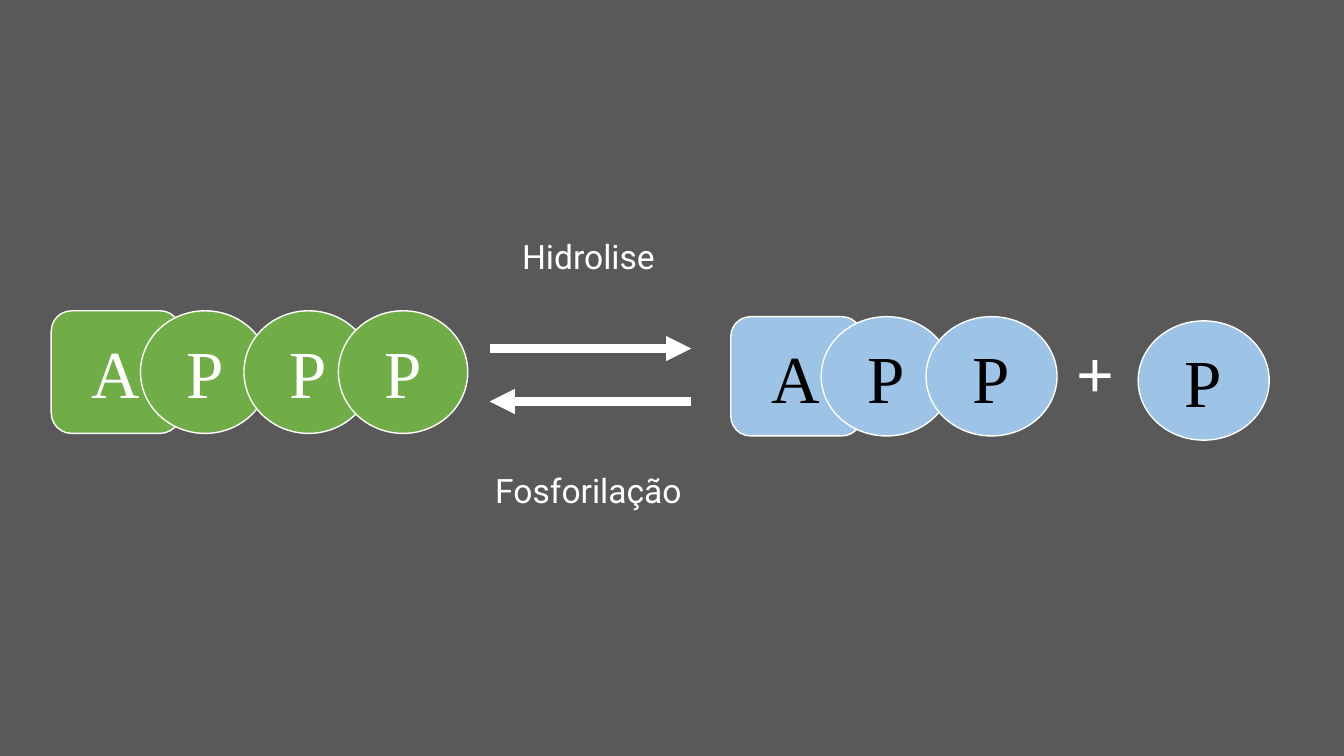
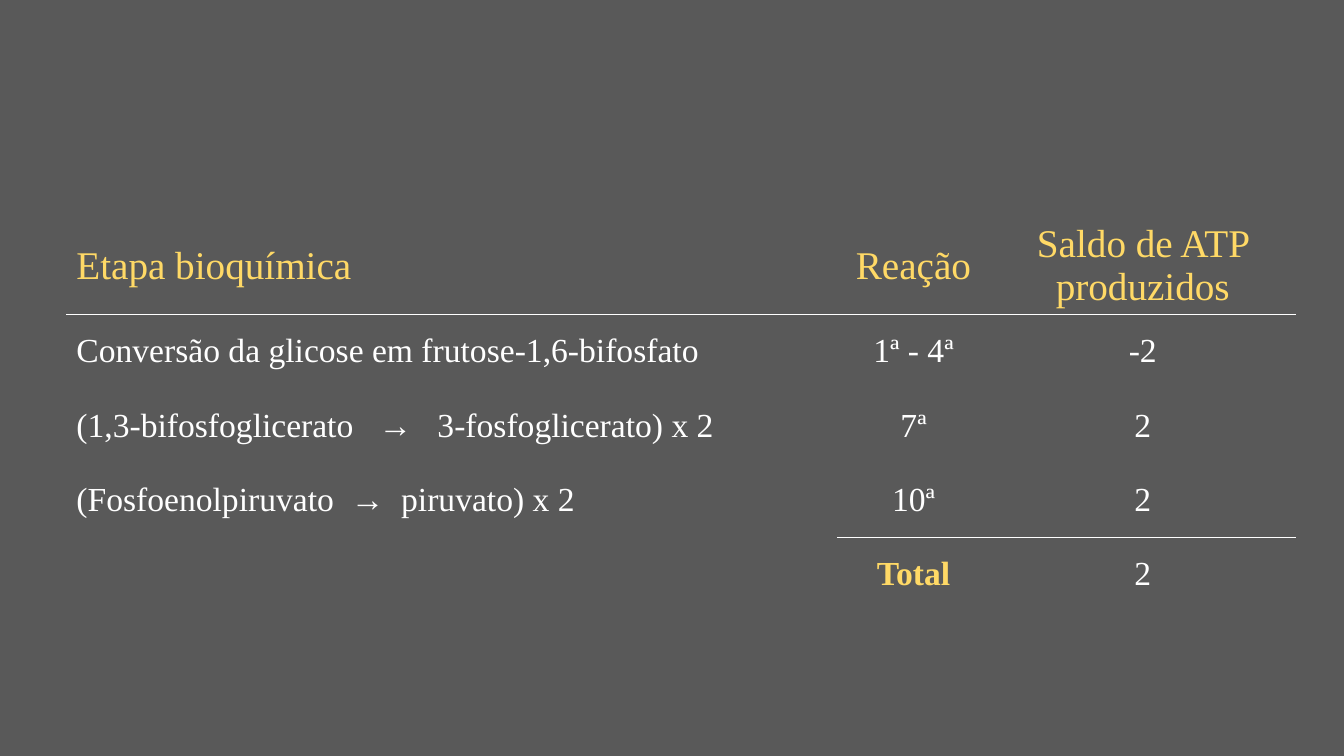
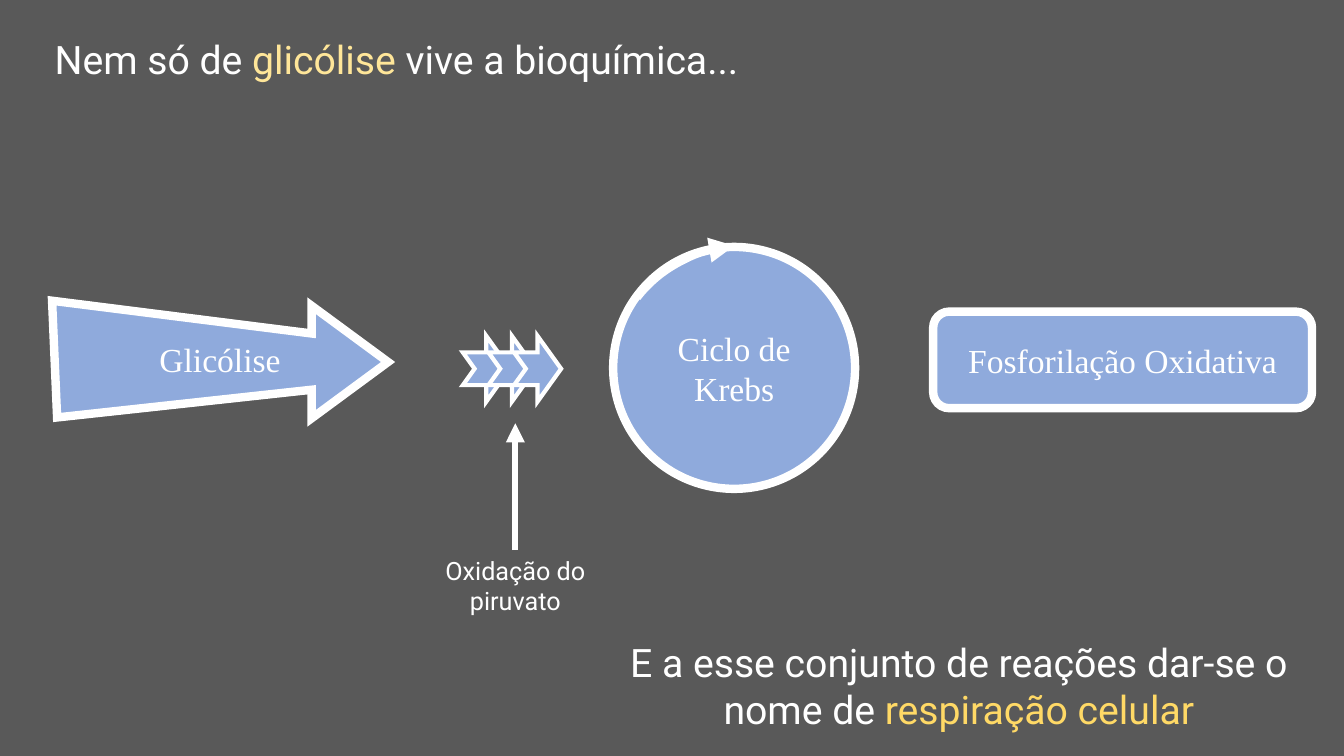
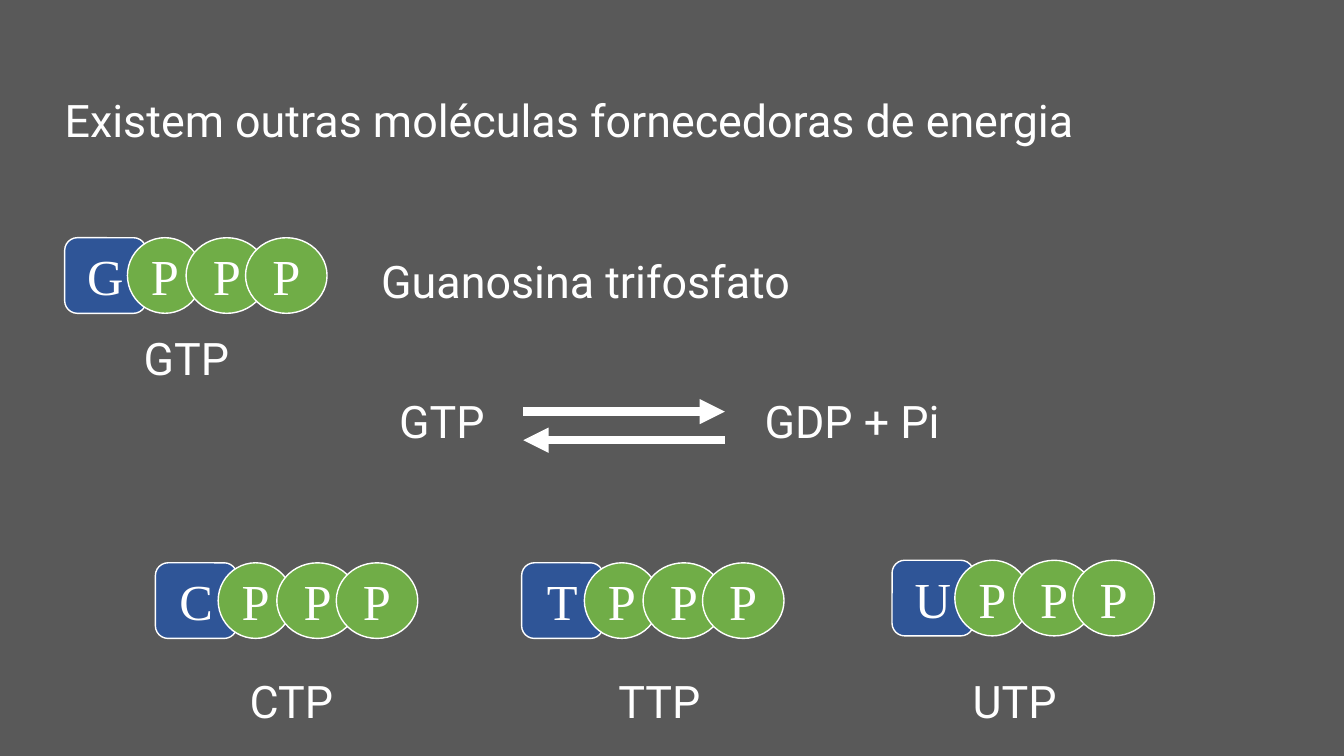
from lxml import etree
from pptx import Presentation, util as u
from pptx.dml.color import RGBColor
from pptx.enum import shapes, text
from pptx.oxml import ns

CELL = u.Pt(6)
COLS, ROWS = 160, 90
GRAY, WHITE, BLACK = "595959", "FFFFFF", "000000"
GOLD, CREAM = "FFD966", "FFE699"
GREEN, SKY, BLUE, NAVY = "70AD47", "9DC3E6", "8FAADC", "2F5597"
SANS, SERIF = "Roboto", "Times New Roman"
KIND = shapes.MSO_SHAPE
ALIGN = text.PP_ALIGN
FIT = text.MSO_AUTO_SIZE.SHAPE_TO_FIT_TEXT
BARE = "{2D5ABB26-0587-4C30-8999-92F81FD0307C}"
LINKS = (0, 0.69, 1.49, 2.22)


def grid(*cells):
    """Turn grid cells into slide lengths."""
    return [u.Emu(round(n * CELL)) for n in cells]


def tint(hue):
    """Make a colour from a hex string."""
    return RGBColor.from_string(hue)


def adorn(spot, tag, **attrs):
    """Add a DrawingML child element."""
    return etree.SubElement(spot, ns.qn(tag), attrs)


def write(para, runs, align=ALIGN.CENTER, hue=WHITE, **style):
    """Fill a paragraph with runs of text, colour and spacing."""
    para.alignment = align
    for part in [(runs,)] if isinstance(runs, str) else runs:
        words, shade, gap = (*part, None, None)[:3]
        run = para.add_run()
        run.text = words
        for key, value in style.items():
            setattr(run.font, key, value)
        run.font.color.rgb = tint(shade or hue)
        if gap:
            run.font._element.set("spc", str(gap * 100))


def stroke(item, width, arrow=False):
    """Give a shape or connector its white line."""
    item.line.color.rgb = tint(WHITE)
    item.line.width = u.Pt(width)
    edge = item.line._get_or_add_ln()
    adorn(edge, "a:miter", lim="800000")
    if arrow:
        adorn(edge, "a:tailEnd", type="triangle")


def dress(item, paint, width, words="", **style):
    """Set the fill, line and text of a shape."""
    item.shadow.inherit = False
    item.fill.solid()
    item.fill.fore_color.rgb = tint(paint)
    stroke(item, width)
    if words:
        write(item.text_frame.paragraphs[0], words, name=SERIF, **style)


def block(tree, kind, place, *look, **style):
    """Draw a filled preset shape."""
    dress(tree.add_shape(kind, *grid(*place)), *look, **style)


def fill(item, runs, size, name=SANS, **style):
    """Write into a frame that wraps and grows."""
    frame = item.text_frame
    looks = {"word_wrap": True, "auto_size": FIT, "vertical_anchor": text.MSO_ANCHOR.TOP}
    for key, value in looks.items():
        setattr(frame, key, value)
    write(frame.paragraphs[0], runs, size=u.Pt(size), name=name, **style)
    return item


def label(tree, place, runs, size, **style):
    """Add a text box."""
    return fill(tree.add_textbox(*grid(*place)), runs, size, **style)


def head(slide, place, runs, size):
    """Place and write the slide title."""
    title = slide.shapes.title
    for key, value in zip(("left", "top", "width", "height"), grid(*place)):
        setattr(title, key, value)
    fill(title, runs, size, align=ALIGN.LEFT)


def arrow(tree, start, end, width=6, base=None):
    """Draw a straight arrow, joined to the top of its base if given."""
    line = tree.add_connector(shapes.MSO_CONNECTOR.STRAIGHT, *grid(*start, *end))
    stroke(line, width, True)
    adorn(line._element.spPr, "a:effectLst")
    if base is not None:
        line.begin_connect(base, 0)


def swap(tree, left, *rows):
    """Draw a pair of opposed arrows."""
    ends = (left, left + 24)
    for row, (start, end) in zip(rows, (ends, ends[::-1])):
        arrow(tree, (start, row), (end, row))


def chain(tree, letters, left, top, wide, tall, hues, size, slim=1, **style):
    """Draw a grouped base with its phosphates."""
    group = tree.add_group_shape().shapes
    for i, (mark, link) in enumerate(zip(letters, LINKS)):
        part = slim if i == 1 else 1
        place = (left + (link + 1 - part) * wide, top, part * wide, tall)
        kind = KIND.OVAL if i else KIND.ROUNDED_RECTANGLE
        block(group, kind, place, hues[min(i, 1)], 1, mark, size=u.Pt(size), **style)
    return group


def rule(cell):
    """Draw the lower border of a table cell."""
    edge = etree.Element(ns.qn("a:lnB"), w=str(u.Pt(1)))
    adorn(adorn(edge, "a:solidFill"), "a:srgbClr", val=WHITE)
    cell._tc.get_or_add_tcPr().insert(0, edge)


def chart(tree, place, widths, tall, rows):
    """Build the table of steps."""
    frame = tree.add_table(len(rows), len(widths), *grid(*place, sum(widths), tall * len(rows)))
    table = frame.table
    table._tbl.tblPr.find(ns.qn("a:tableStyleId")).text = BARE
    table.first_row = table.horz_banding = False
    for col, wide in zip(table.columns, grid(*widths)):
        col.width = wide
    for r, row in enumerate(rows):
        table.rows[r].height = grid(tall)[0]
        for c, words in enumerate(row):
            cell = table.cell(r, c)
            cell.vertical_anchor = text.MSO_ANCHOR.MIDDLE
            cell.fill.background()
            style = {"size": u.Pt(24 if r else 28), "name": SERIF, "bold": words == "Total"}
            hue = GOLD if r == 0 or words == "Total" else WHITE
            align = ALIGN.CENTER if c else ALIGN.LEFT
            if words:
                write(cell.text_frame.paragraphs[0], words, align, hue, **style)
            if r == 0 or (r == len(rows) - 2 and c):
                rule(cell)


def cycle(tree):
    """Show how ATP is split and rebuilt."""
    swap(tree, 58.3, 41.5, 47.8)
    for top, words in ((27.5, "Hidrolise"), (55.4, "Fosforilação")):
        label(tree, (53.2, top, 33.7, 6), words, 24)
    chain(tree, "APPP", 6.1, 37, 15.4, 14.6, (GREEN, GREEN), 48)
    group = chain(tree, "APP", 87, 37.7, 15.6, 14.2, (SKY, SKY), 48, hue=BLACK)
    block(group, KIND.OVAL, (135.5, 38.2, 15.6, 14.2), SKY, 1, "P", size=u.Pt(48), hue=BLACK)
    label(group, (123.8, 38.9, 13.1, 10.9), "+", 48, name=SERIF, bold=True)


def yields(tree):
    """Show the ATP balance."""
    chart(tree, (7.9, 25.9), (91.8, 18.1, 36.5), 8.84, [
        ("Etapa bioquímica", "Reação", "Saldo de ATP produzidos"),
        ("Conversão da glicose em frutose-1,6-bifosfato", "1ª - 4ª", "-2"),
        ([("(1,3-bifosfoglicerato",), (" →", WHITE, 12), (" 3-fosfoglicerato) x 2",)], "7ª", "2"),
        ([("(Fosfoenolpiruvato",), (" →", WHITE, 6), (" piruvato) x 2",)], "10ª", "2"),
        ("", "Total", "2"),
    ])


def stages(slide):
    """Show the stages of respiration."""
    tree = slide.shapes
    size = u.Pt(24)
    head(slide, (5.3, 3.6, 105.7, 6.8),
         [("Nem só de ",), ("glicólise", CREAM), (" vive a bioquímica...",)], 28)
    start, *rest = [grid(*spot) for spot in (
        (6.2, 35.8), (37.1, 39.7), (37.1, 36.4), (46.2, 43.1),
        (37.1, 49.8), (37.1, 46.4), (6.8, 49.7))]
    wedge = tree.build_freeform(*start)
    wedge.add_line_segments(rest)
    dress(wedge.convert_to_shape(), BLUE, 6, "Glicólise", size=size)
    ring = tree.add_group_shape().shapes
    block(ring, KIND.OVAL, (73, 29.4, 28.8, 28.8), BLUE, 6, "Ciclo de Krebs", size=size)
    arc = ring.add_shape(KIND.ARC, *grid(73, 29.2, 31.9, 28.8))
    arc.shadow.inherit = False
    arc.fill.background()
    stroke(arc, 6, True)
    for i, angle in enumerate((127.21, 158.34)):
        arc.adjustments[i] = angle
    block(tree, KIND.ROUNDED_RECTANGLE, (111.1, 37.1, 45.1, 11.5), BLUE, 6,
          "Fosforilação Oxidativa", size=size)
    label(tree, (69.7, 75.4, 88.9, 12.5),
          [("E a esse conjunto de reações dar-se o nome de ",), ("respiração celular", GOLD)], 28)
    group = tree.add_group_shape().shapes
    for i in range(3):
        block(group, KIND.NOTCHED_RIGHT_ARROW, (55.1 + 3.05 * i, 40, 5.6, 7.8), BLUE, 3)
    note = label(tree, (50, 65.5, 22.7, 8.5), "Oxidação do piruvato", 18)
    arrow(tree, (61.35, 65.5), (61.35, 50.4), 4.5, note)


def kin(slide):
    """Show the other energy carriers."""
    tree = slide.shapes
    head(slide, (6.5, 10.4, 146.8, 7.7), "Existem outras moléculas fornecedoras de energia", 32)
    label(tree, (44.2, 29.6, 96.6, 7.7), "Guanosina trifosfato", 32, align=ALIGN.LEFT)
    for mark, left, top, near, low in (("G", 7.7, 28.3, 12.6, 38.8), ("C", 18.5, 67, 25.1, 79.6),
                                       ("T", 62.1, 67, 68.9, 79.6), ("U", 106.2, 66.7, 111.2, 79.6)):
        chain(tree, mark + "PPP", left, top, 9.7, 9, (NAVY, GREEN), 36, 0.92)
        label(tree, (near, low, 19.2, 7.7), mark + "TP", 32)
    for left, wide, words in ((43, 19.2, "GTP"), (87, 28.9, "GDP + Pi")):
        label(tree, (left, 46.3, wide, 7.7), words, 32)
    swap(tree, 62.3, 49, 52.4)


def main():
    """Build and save the deck."""
    deck = Presentation()
    deck.slide_width, deck.slide_height = grid(COLS, ROWS)
    back = deck.slide_master.background.fill
    back.solid()
    back.fore_color.rgb = tint(GRAY)
    titled, blank = deck.slide_layouts[5], deck.slide_layouts[6]
    for draw in (cycle, yields):
        draw(deck.slides.add_slide(blank).shapes)
    for draw in (stages, kin):
        draw(deck.slides.add_slide(titled))
    deck.save("out.pptx")


if __name__ == "__main__":
    main()
